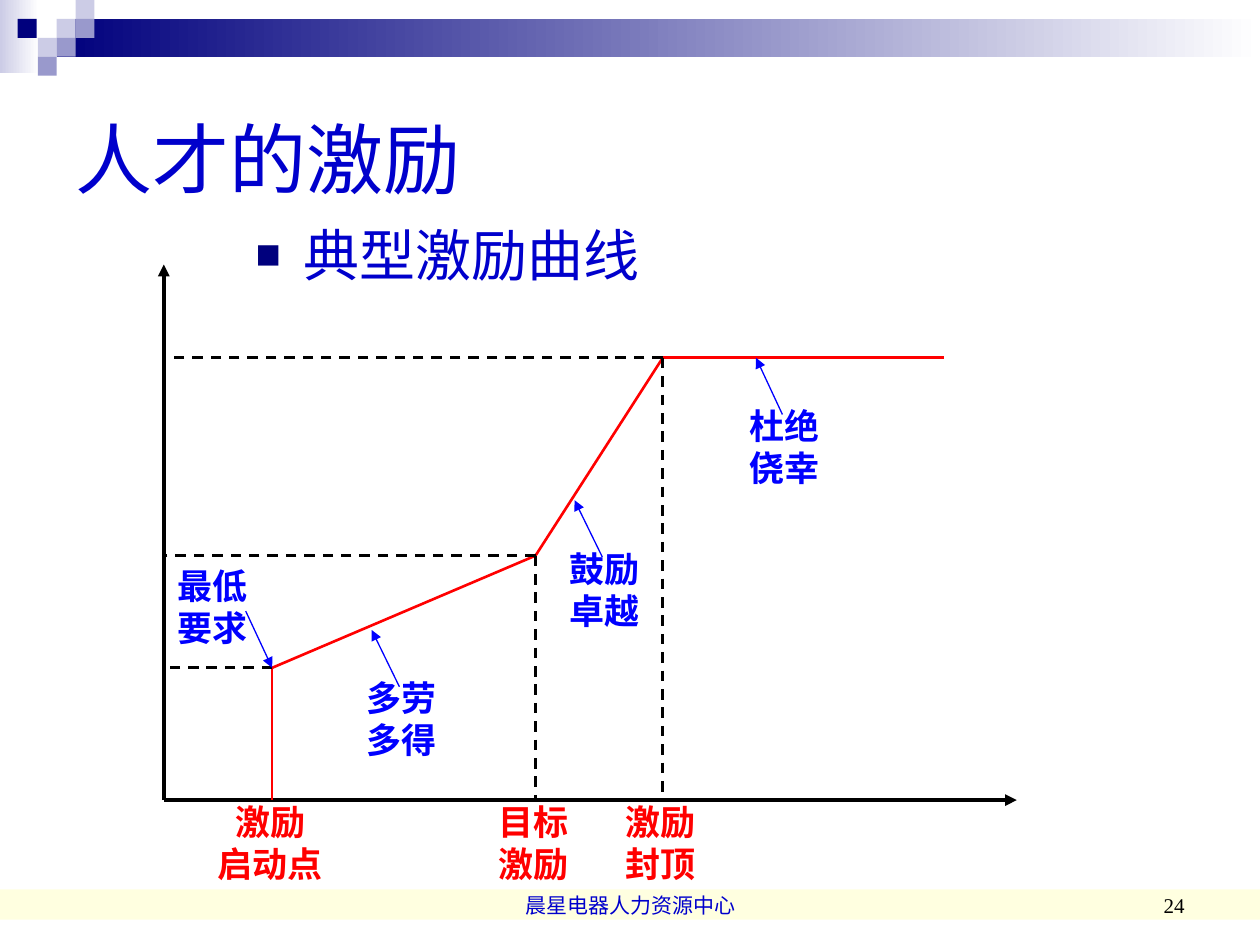
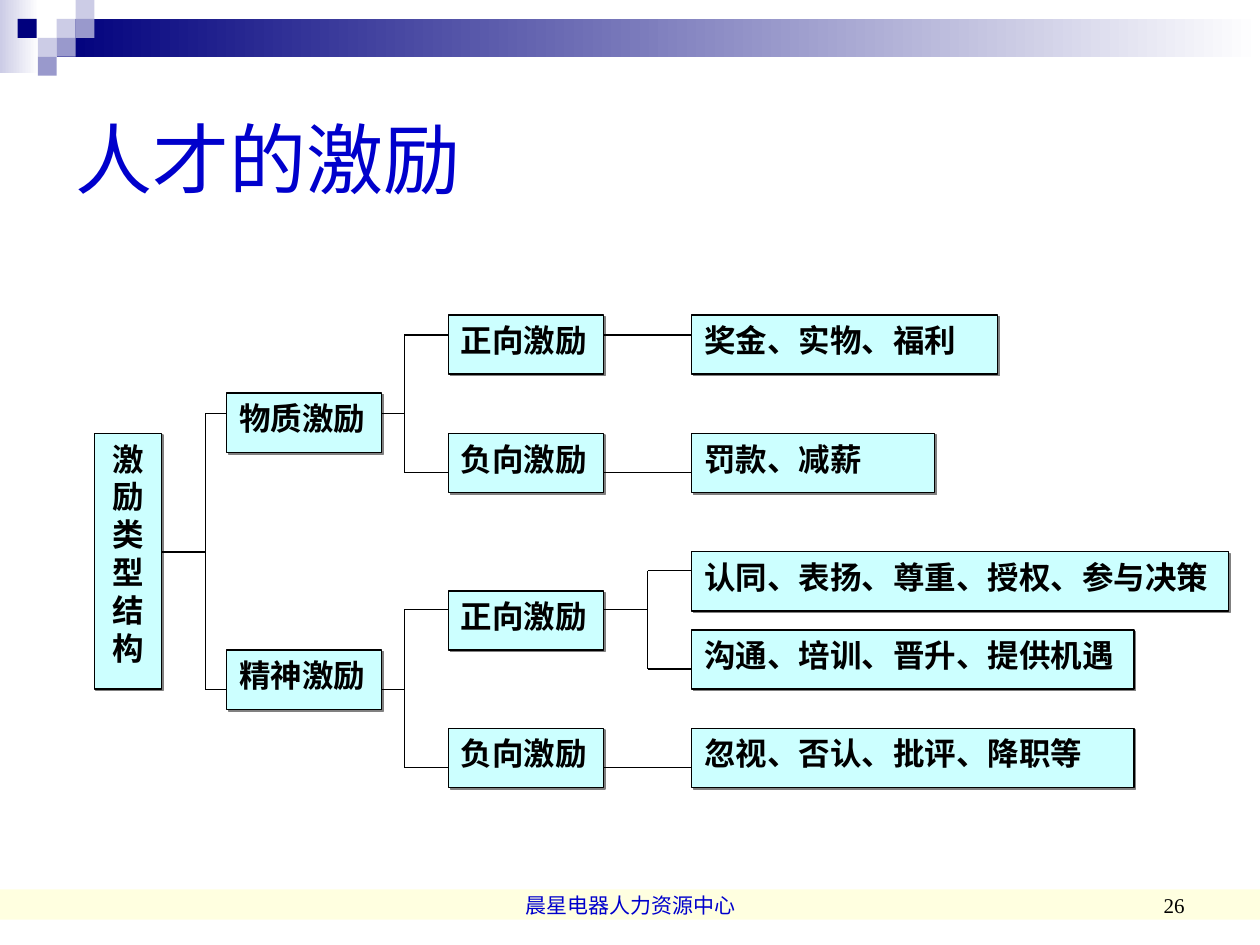
"""Two slides on motivating talent: an incentive curve and a tree of incentive types."""
from dataclasses import dataclass
from typing import NamedTuple

from lxml.etree import SubElement
from pptx import Presentation
from pptx.dml.color import RGBColor
from pptx.enum.dml import MSO_LINE_DASH_STYLE as Dash
from pptx.enum.shapes import MSO_CONNECTOR as Connector, MSO_SHAPE as Shape
from pptx.enum.text import MSO_ANCHOR as Anchor, MSO_AUTO_SIZE as AutoSize, PP_ALIGN as Align
from pptx.oxml.ns import qn
from pptx.util import Emu, Inches, Pt

BLACK = RGBColor(0x00, 0x00, 0x00)
WHITE = RGBColor(0xFF, 0xFF, 0xFF)
RED = RGBColor(0xFF, 0x00, 0x00)
BLUE = RGBColor(0x00, 0x00, 0xFF)
TITLE_BLUE = RGBColor(0x00, 0x00, 0xCC)
NAVY = RGBColor(0x00, 0x00, 0x7D)
LILAC = RGBColor(0x99, 0x99, 0xCC)
PALE_LILAC = RGBColor(0xCC, 0xCC, 0xE6)
CREAM = RGBColor(0xFF, 0xFF, 0x99)
AQUA = RGBColor(0xCC, 0xFF, 0xFF)

SANS, SERIF, CHINESE = "Arial", "Times New Roman", "Noto Sans CJK SC"
TITLE = "人才的激励"
FOOTER = "晨星电器人力资源中心"
TILE = 0.15
MOSAIC = [
    (0.45, 0.15, PALE_LILAC), (0.6, 0, PALE_LILAC), (0.6, 0.15, LILAC), (0.3, 0.3, PALE_LILAC),
    (0.14, 0.15, NAVY), (0.45, 0.3, LILAC), (0.3, 0.45, LILAC),
]


class Point(NamedTuple):
    """A place on the slide in inches."""
    x: float
    y: float


class Box(NamedTuple):
    """A rectangle on the slide in inches."""
    left: float
    top: float
    width: float
    height: float

    def lengths(self) -> tuple:
        return tuple(Inches(side) for side in self)


@dataclass(frozen=True)
class TextStyle:
    """How a text looks."""
    size: float
    color: RGBColor
    font: str = SERIF
    bold: bool = False
    align: Align = Align.LEFT
    anchor: Anchor = Anchor.TOP
    wrap: bool = True
    leading: float | None = None


@dataclass(frozen=True)
class LineStyle:
    """How a line looks."""
    color: RGBColor
    width: float
    dash: Dash | None = None
    arrow: bool = False


@dataclass(frozen=True)
class Callout:
    """A two-line remark with an arrow to the curve."""
    words: str
    box: Box
    start: Point
    target: Point


@dataclass(frozen=True)
class Incentive:
    """A tree box, the height its line meets, and the boxes it leads to."""
    words: str
    top: float
    joint: float
    width: float = 1.23
    height: float = 0.47
    kinds: tuple = ()


TITLE_TEXT = TextStyle(44, TITLE_BLUE, SANS, anchor=Anchor.MIDDLE)
SUBTITLE_TEXT = TextStyle(32, TITLE_BLUE, SANS, leading=1.2)
FOOTER_TEXT = TextStyle(12, TITLE_BLUE, align=Align.CENTER, anchor=Anchor.BOTTOM)
NUMBER_TEXT = TextStyle(12, BLACK, align=Align.RIGHT, anchor=Anchor.BOTTOM)
LABEL = {"size": 20, "bold": True, "align": Align.CENTER, "anchor": Anchor.MIDDLE,
         "wrap": False, "leading": 1.2}
STAGE_TEXT = TextStyle(color=RED, **LABEL)
CALLOUT_TEXT = TextStyle(color=BLUE, **LABEL)
ROOT_TEXT = TextStyle(18, BLACK, CHINESE, True, Align.CENTER, leading=1.2)
INCENTIVE_TEXT = TextStyle(18, BLACK, CHINESE, True, Align.JUSTIFY, leading=1.2)

AXIS = LineStyle(BLACK, 2.25, arrow=True)
CURVE = LineStyle(RED, 1.5)
GUIDE = LineStyle(BLACK, 1.5, Dash.DASH)
POINTER = LineStyle(BLUE, 0.75, arrow=True)
BRANCH = LineStyle(BLACK, 0.75)

ORIGIN = Point(1.3, 6.35)
START, GOAL, CAP = Point(2.16, 5.3), Point(4.25, 4.41), Point(5.26, 2.84)
CURVE_POINTS = [Point(START.x, ORIGIN.y), START, GOAL, CAP, Point(7.49, CAP.y)]
STAGES = [("激励\n启动点", 1.63, 1.03), ("目标\n激励", 3.86, 0.75), ("激励\n封顶", 4.87, 0.75)]
LABEL_HEIGHT = 0.77
CALLOUTS = [
    Callout("多劳\n多得", Box(2.81, 5.32, 0.75, LABEL_HEIGHT), Point(3.17, 5.45), Point(2.95, 5)),
    Callout("鼓励\n卓越", Box(4.42, 4.29, 0.75, LABEL_HEIGHT), Point(4.78, 4.42), Point(4.56, 3.97)),
    Callout("杜绝\n侥幸", Box(5.85, 3.16, 0.75, LABEL_HEIGHT), Point(6.21, 3.29), Point(6, CAP.y)),
    Callout("最低\n要求", Box(1.31, 4.43, 0.75, LABEL_HEIGHT), Point(1.95, 4.85), START),
]

COLUMNS = (0.75, 1.8, 3.56, 5.49)
TRUNKS = (1.63, 3.21, 5.14)
INCENTIVE_TREE = Incentive("激励类型结构", 3.44, 4.38, 0.53, 2.03, (
    Incentive("物质激励", 3.12, 3.28, kinds=(
        Incentive("正向激励", 2.5, 2.66, kinds=(Incentive("奖金、实物、福利", 2.5, 2.66, 2.43),)),
        Incentive("负向激励", 3.44, 3.75, kinds=(Incentive("罚款、减薪", 3.44, 3.75, 1.93),)),
    )),
    Incentive("精神激励", 5.16, 5.47, kinds=(
        Incentive("正向激励", 4.69, 4.84, kinds=(
            Incentive("认同、表扬、尊重、授权、参与决策", 4.38, 4.53, 4.26),
            Incentive("沟通、培训、晋升、提供机遇", 5, 5.31, 3.51),
        )),
        Incentive("负向激励", 5.78, 6.09, kinds=(
            Incentive("忽视、否认、批评、降职等", 5.78, 6.09, 3.51),)),
    )),
))


def apply_formats(target, formats: dict) -> None:
    for key, value in formats.items():
        setattr(target, key, value)


def write(frame, words: str, style: TextStyle) -> None:
    apply_formats(frame, {
        "auto_size": AutoSize.NONE, "word_wrap": style.wrap, "vertical_anchor": style.anchor,
        "margin_left": Inches(0.1), "margin_right": Inches(0.1),
        "margin_top": Inches(0.05), "margin_bottom": Inches(0.05),
    })
    for index, line in enumerate(words.split("\n")):
        paragraph = frame.add_paragraph() if index else frame.paragraphs[0]
        paragraph.alignment = style.align
        if style.leading:
            paragraph.line_spacing = Pt(style.size * style.leading)
        run = paragraph.add_run()
        run.text = line
        apply_formats(run.font, {"size": Pt(style.size), "bold": style.bold, "name": style.font})
        run.font.color.rgb = style.color
        SubElement(run._r.get_or_add_rPr(), qn("a:ea"), typeface=CHINESE)


def add_label(slide, box: Box, words: str, style: TextStyle):
    label = slide.shapes.add_textbox(*box.lengths())
    write(label.text_frame, words, style)
    return label


def add_line(slide, start: Point, end: Point, style: LineStyle) -> None:
    ends = [Inches(length) for length in (*start, *end)]
    connector = slide.shapes.add_connector(Connector.STRAIGHT, *ends)
    connector.line.color.rgb = style.color
    apply_formats(connector.line, {"width": Pt(style.width), "dash_style": style.dash})
    if style.arrow:
        SubElement(connector.line._get_or_add_ln(), qn("a:tailEnd"), type="triangle")
    SubElement(connector._element.spPr, qn("a:effectLst"))


def add_rectangle(slide, box: Box, color: RGBColor, fades: bool = False):
    rectangle = slide.shapes.add_shape(Shape.RECTANGLE, *box.lengths())
    rectangle.shadow.inherit = False
    rectangle.line.fill.background()
    if fades:
        rectangle.fill.gradient()
        rectangle.fill.gradient_angle = 0
        for stop, shade in zip(rectangle.fill.gradient_stops, (color, WHITE)):
            stop.color.rgb = shade
    else:
        rectangle.fill.solid()
        rectangle.fill.fore_color.rgb = color
    return rectangle


def add_talent_slide(deck, number: int):
    slide = deck.slides.add_slide(deck.slide_layouts[5])
    footer_band = add_rectangle(slide, Box(0, 7.06, 10, 0.24), CREAM)
    cream = footer_band._element.spPr.find(qn("a:solidFill"))[0]
    SubElement(cream, qn("a:alpha"), val="30000")
    add_rectangle(slide, Box(0, 0, 0.31, 0.58), PALE_LILAC, fades=True)
    add_rectangle(slide, Box(0.45, 0.15, 9.55, 0.3), NAVY, fades=True)
    for left, top, color in MOSAIC:
        add_rectangle(slide, Box(left, top, TILE, TILE), color)
    title = slide.shapes.title
    places = Box(0.5, 0.5, 9, 1.5).lengths()
    apply_formats(title, dict(zip(("left", "top", "width", "height"), places)))
    write(title.text_frame, TITLE, TITLE_TEXT)
    add_label(slide, Box(3.42, 6.83, 3.17, 0.5), FOOTER, FOOTER_TEXT)
    add_label(slide, Box(7.17, 6.83, 2.33, 0.5), str(number), NUMBER_TEXT)
    return slide


def add_subtitle(slide, words: str) -> None:
    subtitle = add_label(slide, Box(1.93, 1.7, 4.5, 0.72), words, SUBTITLE_TEXT)
    properties = subtitle.text_frame.paragraphs[0]._p.get_or_add_pPr()
    properties.set("marL", str(Inches(0.38)))
    properties.set("indent", str(-Inches(0.38)))
    bullet_color = SubElement(properties, qn("a:buClr"))
    SubElement(bullet_color, qn("a:srgbClr"), val=str(NAVY))
    SubElement(properties, qn("a:buSzPct"), val="75000")
    SubElement(properties, qn("a:buFont"), typeface=SANS)
    SubElement(properties, qn("a:buChar"), char="■")


def draw_curve(slide) -> None:
    for axis_end in (Point(8.07, ORIGIN.y), Point(ORIGIN.x, 2.1)):
        add_line(slide, ORIGIN, axis_end, AXIS)
    for start, end in zip(CURVE_POINTS, CURVE_POINTS[1:]):
        add_line(slide, start, end, CURVE)
    for turn in (GOAL, CAP):
        add_line(slide, turn, Point(turn.x, ORIGIN.y), GUIDE)
    for turn in (CAP, GOAL, START):
        add_line(slide, turn, Point(ORIGIN.x, turn.y), GUIDE)
    for words, left, width in STAGES:
        add_label(slide, Box(left, 6.3, width, LABEL_HEIGHT), words, STAGE_TEXT)
    for callout in CALLOUTS:
        add_line(slide, callout.start, callout.target, POINTER)
        add_label(slide, callout.box, callout.words, CALLOUT_TEXT)


def add_incentive(slide, incentive: Incentive, depth: int) -> None:
    box = Box(COLUMNS[depth], incentive.top, incentive.width, incentive.height)
    card = add_rectangle(slide, box, AQUA)
    card.line.color.rgb = BLACK
    card.line.width = Pt(0.75)
    shadow = SubElement(card._element.spPr.find(qn("a:effectLst")), qn("a:outerShdw"),
                        dist=str(Emu(Pt(1.4))), dir="2700000", algn="ctr", rotWithShape="0")
    SubElement(shadow, qn("a:srgbClr"), val="808080")
    write(card.text_frame, incentive.words, INCENTIVE_TEXT if depth else ROOT_TEXT)


def draw_tree(slide, incentive: Incentive, depth: int = 0) -> None:
    add_incentive(slide, incentive, depth)
    kinds = incentive.kinds
    if not kinds:
        return
    exit_point = Point(COLUMNS[depth] + incentive.width, incentive.joint)
    child_left = COLUMNS[depth + 1]
    if len(kinds) == 1:
        add_line(slide, exit_point, Point(child_left, incentive.joint), BRANCH)
    else:
        trunk = TRUNKS[depth]
        add_line(slide, exit_point, Point(trunk, incentive.joint), BRANCH)
        add_line(slide, Point(trunk, kinds[0].joint), Point(trunk, kinds[-1].joint), BRANCH)
        for kind in kinds:
            add_line(slide, Point(trunk, kind.joint), Point(child_left, kind.joint), BRANCH)
    for kind in kinds:
        draw_tree(slide, kind, depth + 1)


def main() -> None:
    deck = Presentation()
    deck.slide_width, deck.slide_height = Inches(10), Inches(7.5)
    curve_slide = add_talent_slide(deck, 24)
    add_subtitle(curve_slide, "典型激励曲线")
    draw_curve(curve_slide)
    draw_tree(add_talent_slide(deck, 26), INCENTIVE_TREE)
    deck.save("out.pptx")


if __name__ == "__main__":
    main()
